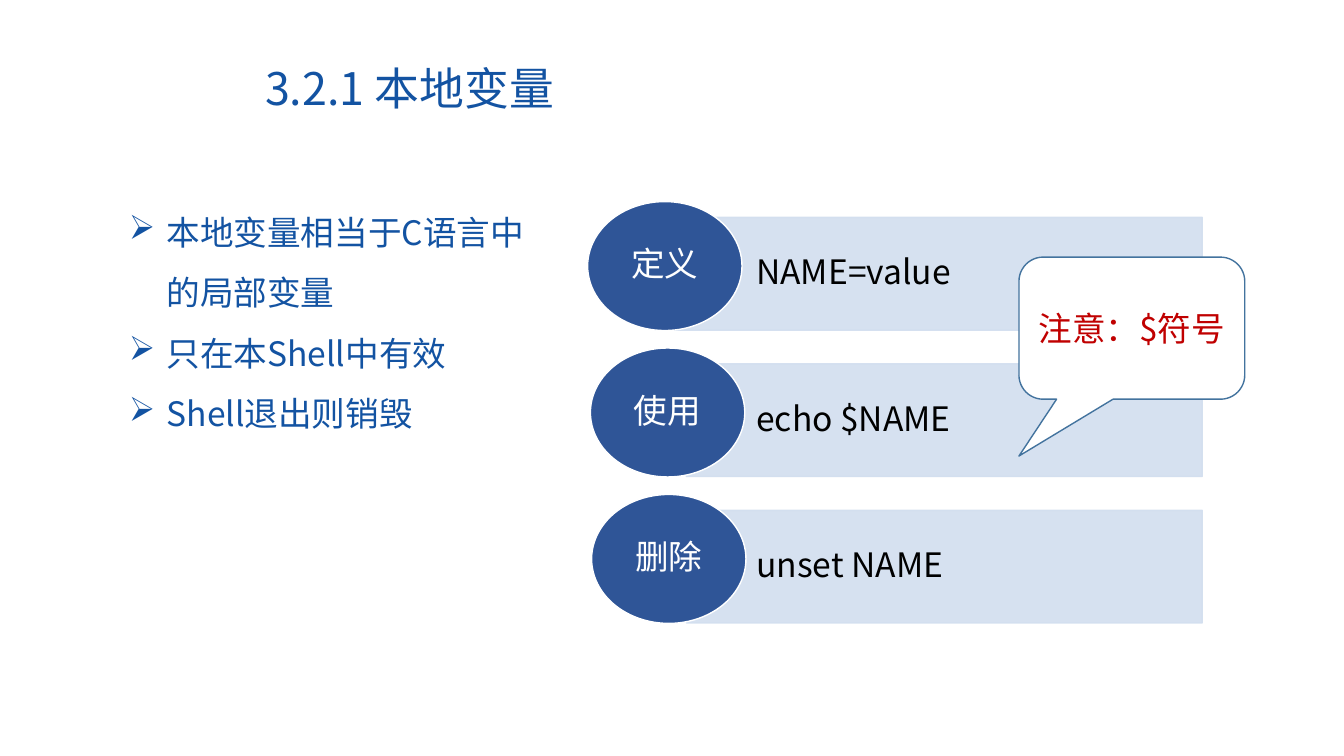
import pptx
import pptx.dml.color
import pptx.enum.shapes
import pptx.enum.text
import pptx.oxml.ns
import pptx.util
from lxml import etree

Cm = pptx.util.Cm
Pt = pptx.util.Pt
SHAPE = pptx.enum.shapes.MSO_SHAPE
ALIGN = pptx.enum.text.PP_ALIGN
qn = pptx.oxml.ns.qn

FONT = "Noto Sans CJK SC"
BLUE = "1353A2"
BAR_RIGHT = 30.3
COMMAND_LEFT = 19.06
STEPS = [
    ("定义", "NAME=value", 14.81, 16.92),
    ("使用", "echo $NAME", 14.88, 17.3),
    ("删除", "unset NAME", 14.91, 17.3),
]
POINTS = ["本地变量相当于C语言中的局部变量", "只在本Shell中有效", "Shell退出则销毁"]


def color(value):
    """Turn a hex string into a colour."""
    return pptx.dml.color.RGBColor.from_string(value)


def style_runs(para, size, value):
    """Give every run of a paragraph its font, size and colour."""
    for span in para.runs:
        span.font.size = Pt(size)
        span.font.name = FONT
        span.font.color.rgb = color(value)
        latin = span.font._element.find(qn("a:latin"))
        east_asian = etree.Element(qn("a:ea"), typeface=FONT)
        latin.addnext(east_asian)


def add_text_box(page, left, top, width, height):
    """Add a wrapping text box and return its text frame."""
    box = page.shapes.add_textbox(Cm(left), Cm(top), Cm(width), Cm(height))
    box.text_frame.word_wrap = True
    return box.text_frame


def add_panel(page, kind, box, fill, line, text, text_color, align):
    """Add a filled shape with vertically centred text."""
    panel = page.shapes.add_shape(kind, *[Cm(length) for length in box])
    panel.shadow.inherit = False
    panel.fill.solid()
    panel.fill.fore_color.rgb = color(fill)
    panel.line.color.rgb = color(line)
    panel.line.width = Pt(1)
    frame = panel.text_frame
    frame.word_wrap = True
    frame.vertical_anchor = pptx.enum.text.MSO_ANCHOR.MIDDLE
    para = frame.paragraphs[0]
    para.text = text
    para.alignment = align
    style_runs(para, 24, text_color)
    return panel


def add_title(page, left, top, width, height):
    """Write the section heading."""
    para = add_text_box(page, left, top, width, height).paragraphs[0]
    para.text = "3.2.1 本地变量"
    style_runs(para, 32, BLUE)


def add_points(page, left, top, width, height):
    """Write the arrow-bulleted facts about local variables."""
    frame = add_text_box(page, left, top, width, height)
    frame.text = "\n".join(POINTS)
    for para in frame.paragraphs:
        para.line_spacing = 1.5
        properties = para._p.get_or_add_pPr()
        properties.set("marL", str(Cm(0.95)))
        properties.set("indent", str(-Cm(0.95)))
        etree.SubElement(properties, qn("a:buChar"), char="➢")
        style_runs(para, 24, BLUE)


def add_step(page, top, label, command, oval_left, bar_left):
    """Draw one command bar with its labelled oval."""
    bar_box = (bar_left, top + 0.4, BAR_RIGHT - bar_left, 2.84)
    bar = add_panel(page, SHAPE.RECTANGLE, bar_box, "D2DEEF", "D2DEEF",
                    command, "000000", ALIGN.LEFT)
    bar.text_frame.margin_left = Cm(COMMAND_LEFT - bar_left)
    for tint in bar._element.spPr.iter(qn("a:srgbClr")):
        etree.SubElement(tint, qn("a:alpha"), val="90000")
    oval_box = (oval_left, top, 3.89, 3.25)
    oval = add_panel(page, SHAPE.OVAL, oval_box, "2F5597", "FFFFFF",
                     label, "FFFFFF", ALIGN.CENTER)
    for panel in (bar, oval):
        panel.text_frame.paragraphs[0].line_spacing = 0.9


def add_steps(page, top, pitch):
    """Stack the define, use and delete steps."""
    for row, step in enumerate(STEPS):
        add_step(page, top + row * pitch, *step)


def add_callout(page, left, top, width, height):
    """Draw the speech bubble about the dollar sign."""
    callout = add_panel(page, SHAPE.ROUNDED_RECTANGULAR_CALLOUT,
                        (left, top, width, height), "FFFFFF", "43739E",
                        "注意：$符号", "C00000", ALIGN.CENTER)
    for index, value in enumerate((-0.5, 0.9, 0.17)):
        callout.adjustments[index] = value


def main():
    """Build the slide and save the deck."""
    deck = pptx.Presentation()
    deck.slide_width = Cm(33.87)
    deck.slide_height = Cm(19.05)
    page = deck.slides.add_slide(deck.slide_layouts[6])
    add_title(page, 6.43, 1.4, 14.4, 1.63)
    add_steps(page, 5.08, 3.69)
    add_callout(page, 25.68, 6.48, 5.69, 3.58)
    add_points(page, 3, 4.7, 11.25, 7.77)
    deck.save("out.pptx")


if __name__ == "__main__":
    main()
